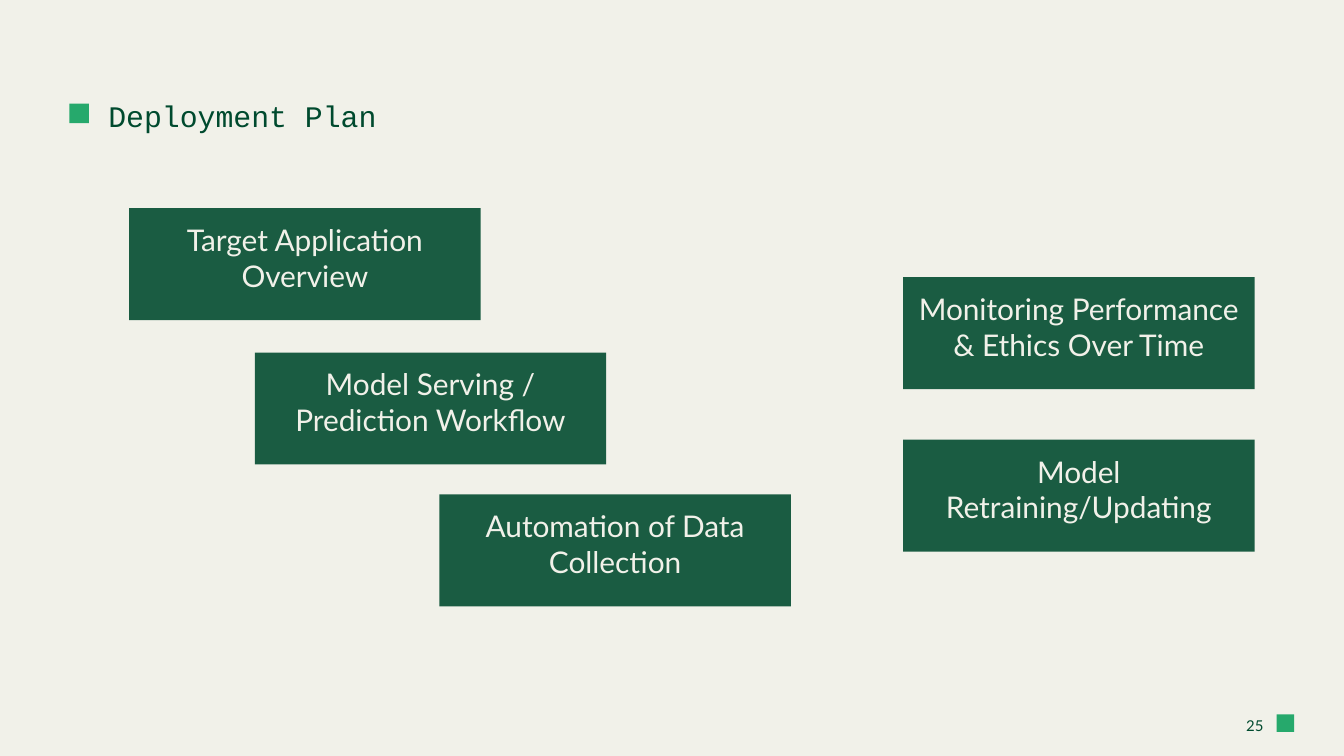
from pptx import Presentation
from pptx.dml.color import RGBColor
from pptx.enum.shapes import MSO_SHAPE
from pptx.enum.text import MSO_ANCHOR, PP_ALIGN
from pptx.util import Inches, Pt

# Slide size (16:9) and colours
WIDE = Inches(10)
HIGH = WIDE * 9 // 16
CREAM = RGBColor(0xF1, 0xF1, 0xE9)
DARK = RGBColor(0x00, 0x4A, 0x2E)
GREEN = RGBColor(0x1A, 0x5C, 0x42)
MINT = RGBColor(0x26, 0xA9, 0x6C)

# Text formats
TITLE = {"name": "Courier New", "size": Pt(16)}
LABEL = {"name": "Lato", "size": Pt(16)}
SMALL = {"name": "Lato", "size": Pt(8)}
FRAME = {"word_wrap": True, "margin_left": Inches(0.1),
         "margin_right": Inches(0.1), "margin_top": Inches(0.1),
         "margin_bottom": Inches(0.1)}

# Steps of the plan: left and top in percent of the slide
BOX_W, BOX_H = 26.15, 14.8
RIGHT = 67.2
STEPS = [
    (9.62, 27.54, "Target Application Overview"),
    (RIGHT, 36.66, "Monitoring Performance & Ethics Over Time"),
    (RIGHT, 58.17, "Model Retraining/Updating"),
    (18.96, 46.64, "Model Serving / Prediction Workflow"),
    (32.7, 65.4, "Automation of Data Collection"),
]


def place(left, top, width, height):
    """Turn percent of the slide into lengths."""
    return (int(WIDE * left / 100), int(HIGH * top / 100),
            int(WIDE * width / 100), int(HIGH * height / 100))


def apply(target, values):
    for name, value in values.items():
        setattr(target, name, value)


def write(shape, text, font, color, para, anchor=MSO_ANCHOR.TOP):
    frame = shape.text_frame
    apply(frame, {**FRAME, "vertical_anchor": anchor})
    line = frame.paragraphs[0]
    apply(line, para)
    run = line.add_run()
    run.text = text
    apply(run.font, font)
    run.font.color.rgb = color


def add_block(slide, area, color):
    block = slide.shapes.add_shape(MSO_SHAPE.RECTANGLE, *place(*area))
    block.shadow.inherit = False
    block.fill.solid()
    block.fill.fore_color.rgb = color
    block.line.fill.background()
    return block


def add_text(slide, area, *style):
    write(slide.shapes.add_textbox(*place(*area)), *style)


def main():
    deck = Presentation()
    apply(deck, {"slide_width": WIDE, "slide_height": HIGH})
    slide = deck.slides.add_slide(deck.slide_layouts[6])
    slide.background.fill.solid()
    slide.background.fill.fore_color.rgb = CREAM

    # Page number and its marker
    add_block(slide, (95, 94.5, 1.3, 2.31), MINT)
    add_text(slide, (90, 93.33, 5, 5.33), "25", SMALL, DARK,
             {"alignment": PP_ALIGN.RIGHT}, MSO_ANCHOR.MIDDLE)

    # Title and its marker
    add_text(slide, (7.08, 10.67, 40.8, 8), "Deployment Plan", TITLE, DARK,
             {"line_spacing": 1.1})
    add_block(slide, (5.16, 13.7, 1.46, 2.6), MINT)

    # Steps
    for left, top, text in STEPS:
        block = add_block(slide, (left, top, BOX_W, BOX_H), GREEN)
        write(block, text, LABEL, CREAM, {"alignment": PP_ALIGN.CENTER})

    deck.save("out.pptx")


if __name__ == "__main__":
    main()
